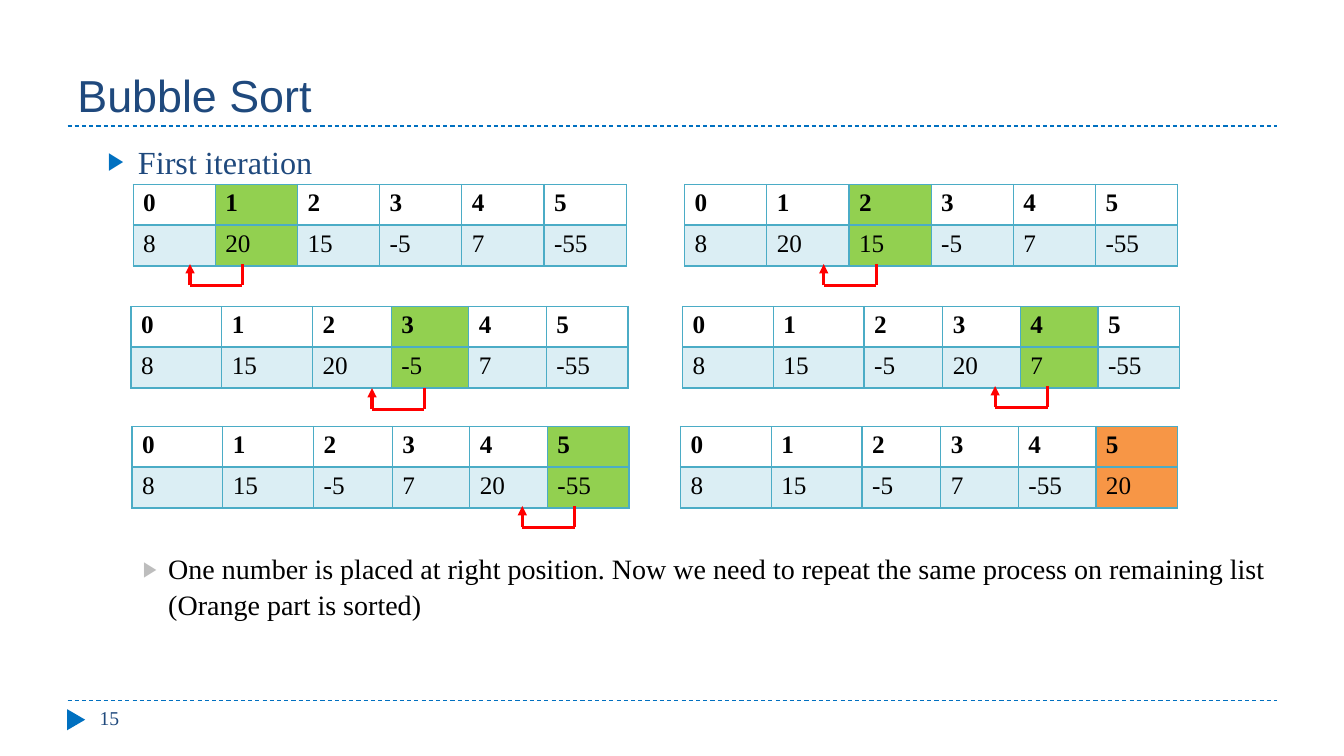
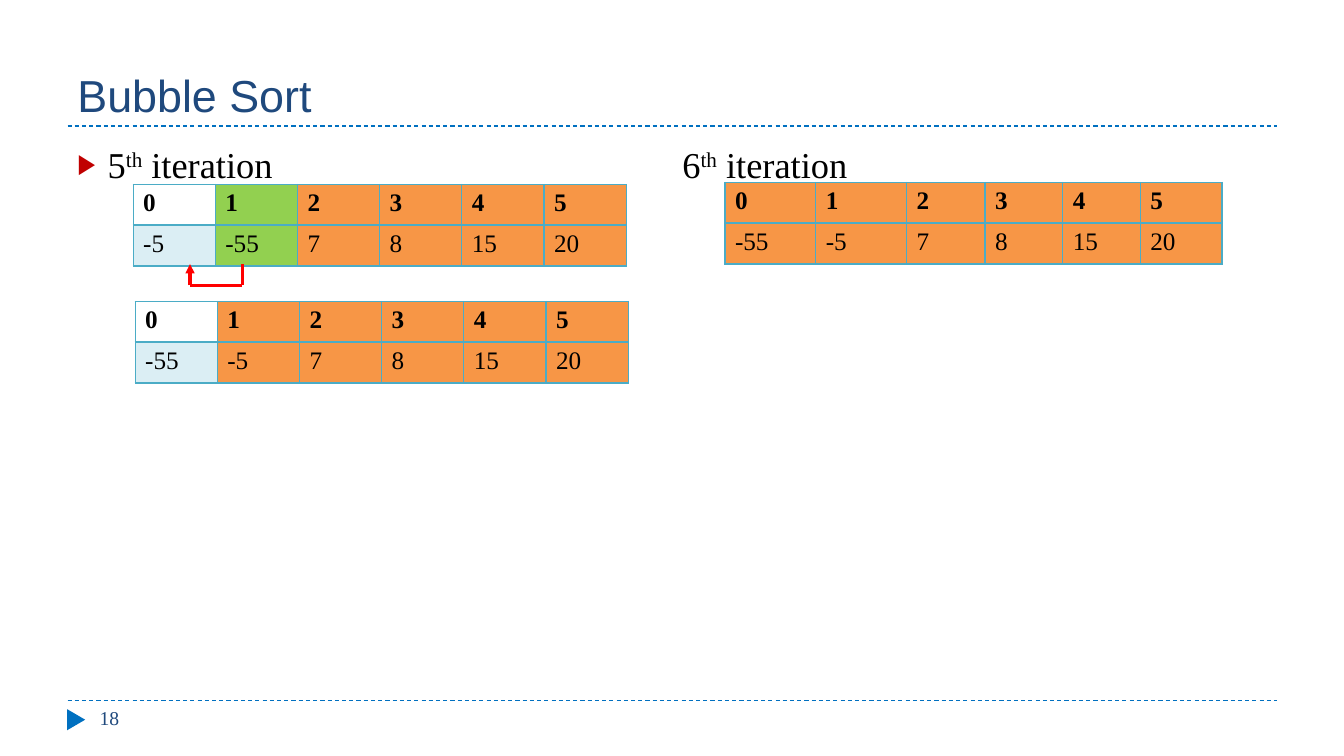
from lxml import etree
from pptx import Presentation
from pptx.dml.color import RGBColor
from pptx.enum.dml import MSO_LINE
from pptx.enum.shapes import MSO_CONNECTOR, MSO_SHAPE
from pptx.enum.text import MSO_ANCHOR
from pptx.oxml.ns import qn
from pptx.util import Inches, Pt

STRAIGHT = MSO_CONNECTOR.STRAIGHT
TRIANGLE = MSO_SHAPE.ISOSCELES_TRIANGLE
DASH = MSO_LINE.DASH
TOP, BOTTOM = MSO_ANCHOR.TOP, MSO_ANCHOR.BOTTOM

COLORS = {
    "navy": "1F497D",
    "blue": "0070C0",
    "text": "000000",
    "grid": "4BACC6",
    "value": "DBEEF4",
    "compared": "92D050",
    "sorted": "F79646",
    "swap": "FF0000",
    "gray": "BDBDBD",
    "crimson": "C00000",
}
SANS, SERIF = "Arial", "Times New Roman"
EVEN_COLUMNS = [0.815] * 6
UNEVEN_COLUMNS = [0.9, 0.9, 0.78, 0.77, 0.77, 0.81]
ROW_HEIGHT = 0.405


def rgb(name):
    return RGBColor.from_string(COLORS[name])


def add_run(paragraph, text, size=18, font=SERIF, color="text", bold=False,
            raised=False):
    run = paragraph.add_run()
    run.text = text
    run.font.size = Pt(size)
    run.font.name = font
    run.font.bold = bold
    run.font.color.rgb = rgb(color)
    if raised:
        run.font._element.set("baseline", "30000")


def add_bullet(paragraph, color, indent, hanging):
    props = paragraph._p.get_or_add_pPr()
    props.set("marL", str(Inches(indent)))
    props.set("indent", str(-Inches(hanging)))
    bullet_color = etree.SubElement(props, qn("a:buClr"))
    etree.SubElement(bullet_color, qn("a:srgbClr"), val=COLORS[color])
    etree.SubElement(props, qn("a:buSzPct"), val="76000")
    etree.SubElement(props, qn("a:buFont"), typeface=SANS)
    etree.SubElement(props, qn("a:buChar"), char="▶")


def add_text(slide, box, parts, anchor=TOP, bullet=None, spacing=None, **style):
    """Place one paragraph; parts is a string or (text, raised) pairs."""
    frame = slide.shapes.add_textbox(*map(Inches, box)).text_frame
    frame.word_wrap = True
    frame.vertical_anchor = anchor
    paragraph = frame.paragraphs[0]
    if spacing:
        paragraph.line_spacing = spacing
    if bullet:
        add_bullet(paragraph, *bullet)
    if isinstance(parts, str):
        parts = [(parts, False)]
    for text, raised in parts:
        add_run(paragraph, text, raised=raised, **style)


def add_line(shapes, start, end, color, width, dash=None, arrow=False):
    line = shapes.add_connector(STRAIGHT, *map(Inches, (*start, *end)))
    line.line.color.rgb = rgb(color)
    line.line.width = Pt(width)
    if dash:
        line.line.dash_style = dash
    properties = line._element.spPr
    if arrow:
        etree.SubElement(properties.find(qn("a:ln")), qn("a:tailEnd"),
                         type="triangle")
    etree.SubElement(properties, qn("a:effectLst"))


def set_borders(cell, bottom_width):
    props = cell._tc.get_or_add_tcPr()
    widths = {"lnL": 1, "lnR": 1, "lnT": 1, "lnB": bottom_width}
    for position, (side, width) in enumerate(widths.items()):
        border = etree.Element(qn("a:" + side), w=str(Pt(width)))
        fill = etree.SubElement(border, qn("a:solidFill"))
        etree.SubElement(fill, qn("a:srgbClr"), val=COLORS["grid"])
        props.insert(position, border)


def add_swap_arrow(slide, left, bottom):
    """Bracket from the compared value back to its left neighbour."""
    right, tip, base = left + 0.52, bottom - 0.02, bottom + 0.19
    shapes = slide.shapes.add_group_shape().shapes
    add_line(shapes, (left, base), (right, base), "swap", 2.25)
    add_line(shapes, (right, base), (right, tip), "swap", 2.25)
    add_line(shapes, (left, base), (left, tip), "swap", 2.25, arrow=True)


def add_array(slide, left, top, values, columns, compared=None, sorted_from=6,
              arrow_shift=(-0.25, 0)):
    """Index row over value row, with the compared and sorted cells coloured."""
    table = slide.shapes.add_table(
        2, len(values), Inches(left), Inches(top),
        Inches(sum(columns)), Inches(2 * ROW_HEIGHT)).table
    table.first_row = table.horz_banding = False
    for row in table.rows:
        row.height = Inches(ROW_HEIGHT)
    for index, (value, width) in enumerate(zip(values, columns)):
        table.columns[index].width = Inches(width)
        for row, content in enumerate((index, value)):
            is_header = row == 0
            cell = table.cell(row, index)
            add_run(cell.text_frame.paragraphs[0], str(content), bold=is_header)
            if index == compared:
                fill = "compared"
            elif index >= sorted_from:
                fill = "sorted"
            else:
                fill = None if is_header else "value"
            if fill:
                cell.fill.solid()
                cell.fill.fore_color.rgb = rgb(fill)
            else:
                cell.fill.background()
            set_borders(cell, 2 if is_header else 1)
    if compared is not None:
        shift_x, shift_y = arrow_shift
        add_swap_arrow(slide, left + sum(columns[:compared]) + shift_x,
                       top + 2 * ROW_HEIGHT + shift_y)


def add_base_slide(deck, number):
    """Title, dashed rules and page marker shared by the slides."""
    slide = deck.slides.add_slide(deck.slide_layouts[6])
    for rule_y in (6.95, 1.25):
        add_line(slide.shapes, (0.67, rule_y), (12.67, rule_y), "blue", 0.75,
                 dash=DASH)
    marker = slide.shapes.add_shape(
        TRIANGLE, *map(Inches, (0.65, 7.05, 0.21, 0.18)))
    marker.rotation = 90
    marker.shadow.inherit = False
    marker.fill.solid()
    marker.fill.fore_color.rgb = rgb("blue")
    marker.line.fill.background()
    add_text(slide, (0.67, 0.17, 12, 1.08), "Bubble Sort", anchor=BOTTOM,
             size=32, font=SANS, color="navy")
    add_text(slide, (0.89, 6.95, 2.89, 0.4), str(number), size=14, color="navy")
    return slide


def build_first_iteration(deck):
    slide = add_base_slide(deck, 15)
    add_text(slide, (0.67, 1.36, 12, 0.47), "First iteration", size=23,
             color="navy", bullet=("blue", 0.6, 0.3))
    # Passes from left to right, top to bottom
    add_array(slide, 1.32, 1.83, [8, 20, 15, -5, 7, -55], EVEN_COLUMNS, 1)
    add_array(slide, 6.79, 1.83, [8, 20, 15, -5, 7, -55], EVEN_COLUMNS, 2)
    add_array(slide, 1.3, 3.04, [8, 15, 20, -5, 7, -55], UNEVEN_COLUMNS, 3,
              arrow_shift=(-0.19, 0.02))
    add_array(slide, 6.77, 3.04, [8, 15, -5, 20, 7, -55], UNEVEN_COLUMNS, 4)
    add_array(slide, 1.31, 4.23, [8, 15, -5, 7, 20, -55], UNEVEN_COLUMNS, 5)
    add_array(slide, 6.75, 4.23, [8, 15, -5, 7, -55, 20], UNEVEN_COLUMNS,
              sorted_from=5)
    # Conclusion
    add_text(slide, (0.67, 5.41, 12.03, 0.9),
             "One number is placed at right position. Now we need to repeat "
             "the same process on remaining list (Orange part is sorted)",
             size=20, spacing=1.05, bullet=("gray", 0.9, 0.25))


def build_last_iterations(deck):
    slide = add_base_slide(deck, 18)
    # Fifth iteration
    add_text(slide, (0.67, 1.36, 5.5, 0.47),
             [("5", False), ("th", True), (" iteration", False)],
             size=26, bullet=("crimson", 0.3, 0.3))
    add_array(slide, 1.32, 1.83, [-5, -55, 7, 8, 15, 20], EVEN_COLUMNS, 1,
              sorted_from=2)
    add_array(slide, 1.34, 2.99, [-55, -5, 7, 8, 15, 20], EVEN_COLUMNS,
              sorted_from=1)
    # Sixth iteration
    add_text(slide, (6.67, 1.36, 5.5, 0.47),
             [("6", False), ("th", True), (" iteration", False)], size=26)
    add_array(slide, 7.19, 1.81, [-55, -5, 7, 8, 15, 20], UNEVEN_COLUMNS,
              sorted_from=0)


def main():
    deck = Presentation()
    deck.slide_width, deck.slide_height = Inches(13.33), Inches(7.5)
    build_first_iteration(deck)
    build_last_iterations(deck)
    deck.save("out.pptx")


if __name__ == "__main__":
    main()
